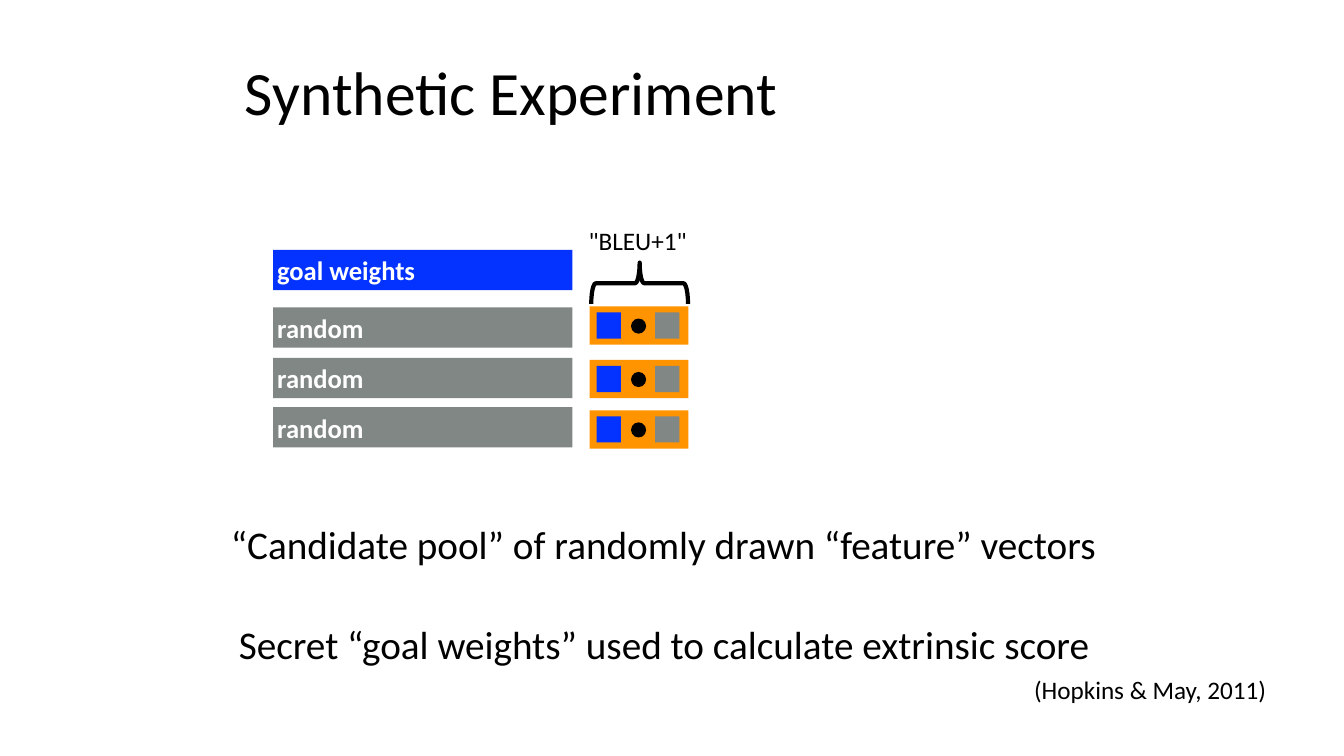
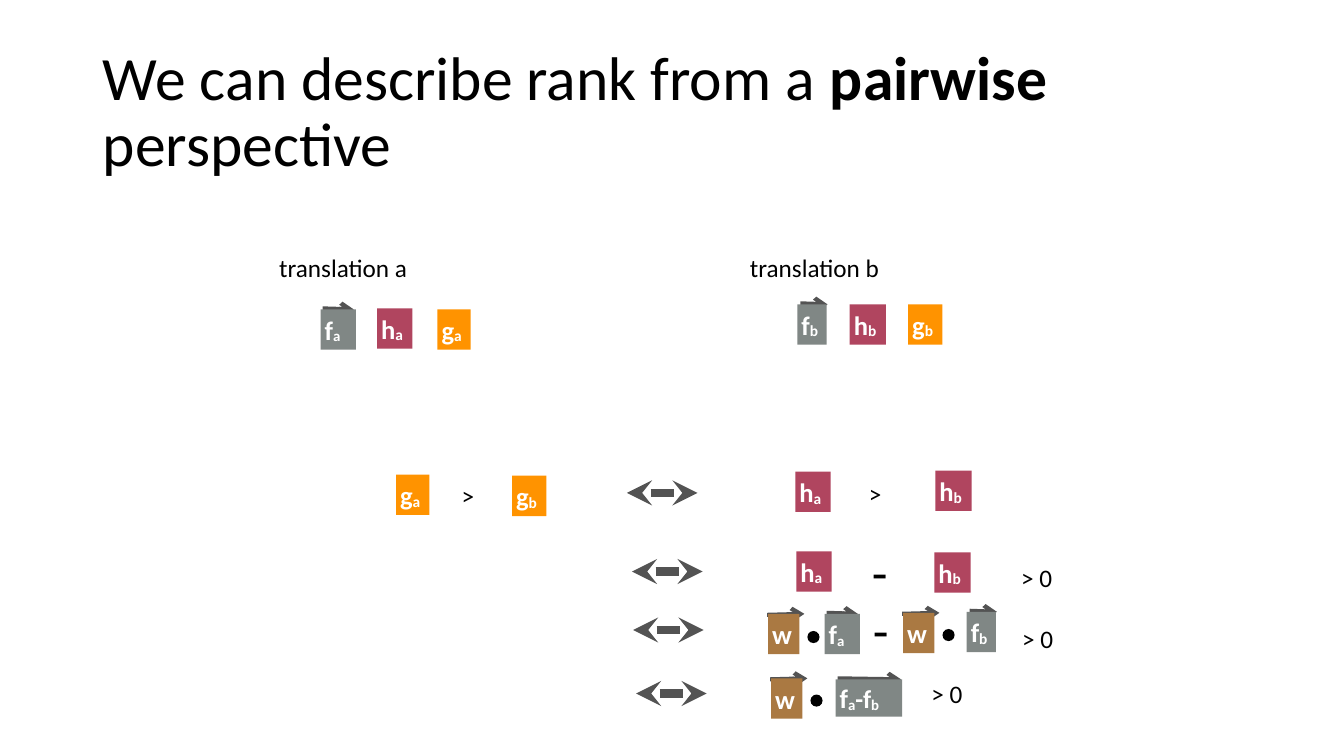
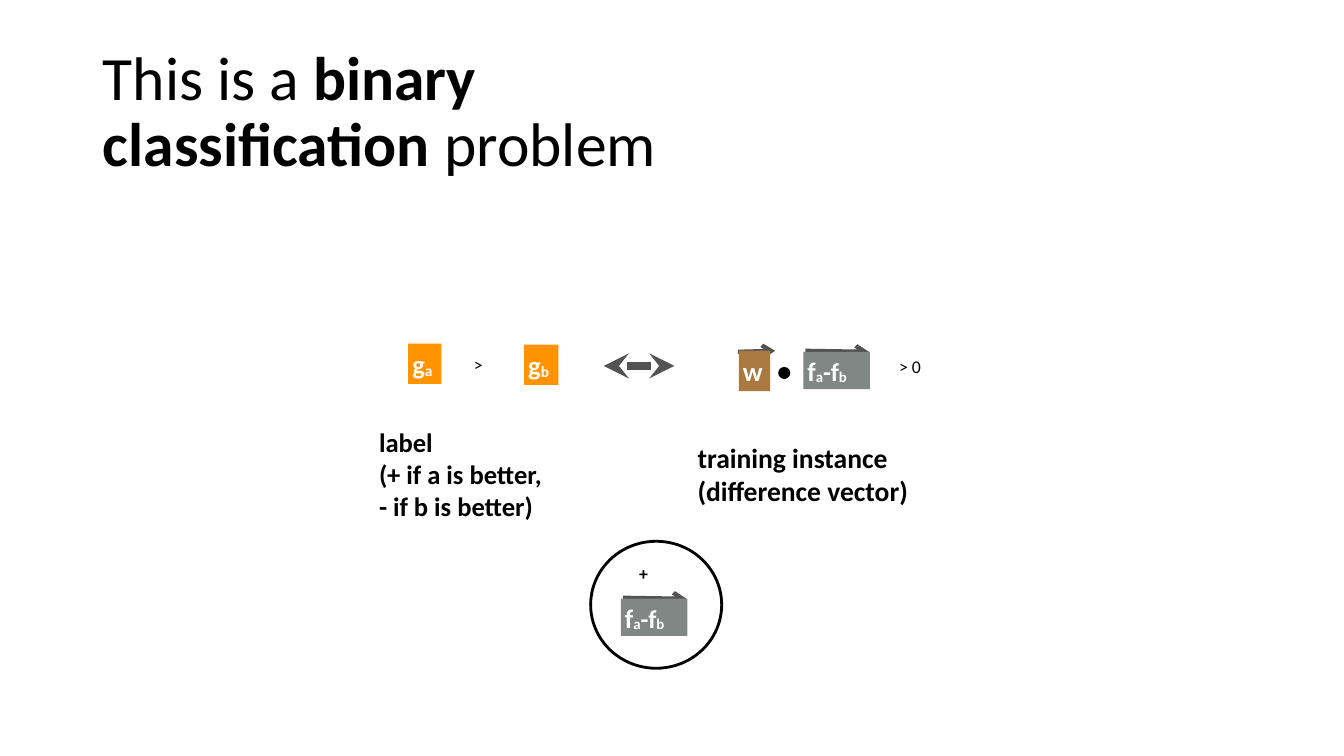
import dataclasses

import pptx
import pptx.dml.color
import pptx.enum.shapes
import pptx.enum.text
import pptx.oxml.ns
import pptx.util
from lxml import etree

SHAPES = pptx.enum.shapes.MSO_SHAPE
AUTO_SIZE = pptx.enum.text.MSO_AUTO_SIZE


@dataclasses.dataclass(frozen=True)
class Theme:
    font: str = "Calibri"
    black: str = "000000"
    white: str = "FFFFFF"
    blue: str = "0433FF"
    orange: str = "FF9300"
    gray: str = "808785"
    red: str = "B0455F"
    brown: str = "AA7942"
    arrow: str = "535353"
    title: float = 44
    statement: float = 28
    minus: float = 36.6
    caption: float = 19.7
    tile: float = 19
    tile_rest: float = 18.3
    label: float = 18
    small: float = 12.7


@dataclasses.dataclass(frozen=True)
class Box:
    """An area of the slide, in cells of the grid."""
    left: float
    top: float
    width: float
    height: float

    def inner(self, left, top, width, height):
        return Box(self.left + left, self.top + top, width, height)

    def lengths(self):
        return [cells(n) for n in (self.left, self.top, self.width, self.height)]


@dataclasses.dataclass(frozen=True)
class Tile:
    """A symbol on a coloured square; every second run is a subscript."""
    color: str
    width: float
    runs: tuple
    vector: tuple = ()  # arrow over the tile: tip, tail, drop of the tail
    height: float = 4
    wrap: bool = False
    rest_size: float = 19


THEME = Theme()
CELL = pptx.util.Inches(7.5) // 75  # the slide is 75 rows high
SLIDE_WIDTH, SLIDE_HEIGHT = 133.33, 75
TIGHT, NORMAL = (0.4, 0.4), (1, 0.5)  # horizontal and vertical insets
TITLE_BOX = Box(9.2, 4, 115, 14.5)

TILES = {
    "fa": Tile(THEME.gray, 3.5, ("f", "a"), (3.3, 0.2, -0.1), wrap=True,
               rest_size=THEME.tile_rest),
    "fb": Tile(THEME.gray, 2.9, ("f", "b"), (3, 0.3, -0.1)),
    "ha": Tile(THEME.red, 3.5, ("h", "a")),
    "hb": Tile(THEME.red, 3.6, ("h", "b")),
    "ga": Tile(THEME.orange, 3.3, ("g", "a")),
    "gb": Tile(THEME.orange, 3.4, ("g", "b")),
    "w": Tile(THEME.brown, 3.1, ("w",), (3.6, -0.1, 0.1)),
    "fa-fb": Tile(THEME.gray, 6.6, ("f", "a", "-f", "b"), (6.5, 0.2, -0.1),
                  height=3.7, wrap=True, rest_size=THEME.tile_rest),
}
# Width of each operator, in cells per point of type
OPERATORS = {">": 0.07, "> 0": 0.19, "-": 0.04, "+": 0.09}

# Formula parts: symbol, distance from the left, shift below the row's axis
GOAL_COMPARISON = [("ga", 0, 0), (">", 6.1, 0), ("gb", 11.5, 0.1)]
DIFFERENCE_TEST = [("equivalent", 0, 0), ("w", 13.4, 0.5), ("dot", 17.3, 0.7),
                   ("fa-fb", 19.8, 0.45), ("> 0", 28.9, 0)]


def cells(number):
    return pptx.util.Emu(round(number * CELL))


def rgb(color):
    return pptx.dml.color.RGBColor.from_string(color)


# Text

def add_run(paragraph, text, size, color=THEME.black, bold=False, subscript=False):
    run = paragraph.add_run()
    run.text = text
    run.font.name = THEME.font
    run.font.size = pptx.util.Pt(size)
    run.font.bold = bold
    run.font.color.rgb = rgb(color)
    if subscript:
        run.font._element.set("baseline", "-6000")


def set_frame(shape, wrap, auto_size, insets):
    frame = shape.text_frame
    frame.word_wrap = wrap
    frame.auto_size = auto_size
    frame.vertical_anchor = pptx.enum.text.MSO_ANCHOR.MIDDLE
    frame.margin_left = frame.margin_right = cells(insets[0])
    frame.margin_top = frame.margin_bottom = cells(insets[1])
    return frame


def add_paragraphs(frame, count):
    for _ in range(count - 1):
        frame.add_paragraph()
    for paragraph in frame.paragraphs:
        paragraph.alignment = pptx.enum.text.PP_ALIGN.LEFT
    return frame.paragraphs


def add_label(slide, box, lines, size, bold=False, insets=TIGHT):
    shape = slide.shapes.add_textbox(*box.lengths())
    frame = set_frame(shape, False, AUTO_SIZE.SHAPE_TO_FIT_TEXT, insets)
    for paragraph, line in zip(add_paragraphs(frame, len(lines)), lines):
        add_run(paragraph, line, size, bold=bold)


def add_title_slide(presentation, lines, box=TITLE_BOX):
    """Add a slide; each title line is a list of (text, bold)."""
    slide = presentation.slides.add_slide(presentation.slide_layouts[5])
    title = slide.shapes.title
    title.left, title.top, title.width, title.height = box.lengths()
    frame = set_frame(title, True, AUTO_SIZE.NONE, NORMAL)
    for paragraph, line in zip(add_paragraphs(frame, len(lines)), lines):
        paragraph.line_spacing = 0.9
        for text, bold in line:
            add_run(paragraph, text, THEME.title, bold=bold)
    return slide


# Shapes and arrows

def add_block(slide, box, color, preset=SHAPES.RECTANGLE):
    shape = slide.shapes.add_shape(preset, *box.lengths())
    shape.shadow.inherit = False
    shape.fill.solid()
    shape.fill.fore_color.rgb = rgb(color)
    shape.line.fill.background()
    return shape


def add_outline(slide, box, preset, weight):
    shape = slide.shapes.add_shape(preset, *box.lengths())
    shape.shadow.inherit = False
    shape.fill.background()
    shape.line.color.rgb = rgb(THEME.black)
    shape.line.width = pptx.util.Pt(weight)
    return shape


def add_arrow(slide, start, end, weight, **ends):
    """Draw a line with heads given as headEnd and tailEnd."""
    points = [cells(n) for n in (*start, *end)]
    line = slide.shapes.add_connector(
        pptx.enum.shapes.MSO_CONNECTOR.STRAIGHT, *points)
    line.line.color.rgb = rgb(THEME.arrow)
    line.line.width = pptx.util.Pt(weight)
    outline = line.line._get_or_add_ln()
    for tag in ("headEnd", "tailEnd"):
        if tag in ends:
            etree.SubElement(outline, pptx.oxml.ns.qn("a:" + tag), type=ends[tag])
    etree.SubElement(line._element.spPr, pptx.oxml.ns.qn("a:effectLst"))


# Symbols and formulas

def add_tile(slide, name, left, axis):
    tile = TILES[name]
    box = Box(left, axis - tile.height / 2, tile.width, tile.height)
    if tile.vector:
        tip, tail, drop = tile.vector
        add_arrow(slide, (left + tip, box.top), (left + tail, box.top + drop), 3,
                  headEnd="arrow")
    shape = add_block(slide, box, tile.color)
    fit = AUTO_SIZE.NONE if name == "fa-fb" else AUTO_SIZE.SHAPE_TO_FIT_TEXT
    paragraph = add_paragraphs(set_frame(shape, tile.wrap, fit, TIGHT), 1)[0]
    for index, text in enumerate(tile.runs):
        size = tile.rest_size if index else THEME.tile
        add_run(paragraph, text, size, THEME.white, True, subscript=index % 2 == 1)


def add_operator(slide, text, left, axis, size, bold=False):
    width, height = 0.8 + OPERATORS[text] * size, 0.8 + size / 6
    add_label(slide, Box(left, axis - height / 2, width, height), [text], size, bold)


def add_formula(slide, left, axis, parts, size=THEME.label):
    """Lay symbols out along a horizontal axis."""
    for name, offset, shift in parts:
        x, y = left + offset, axis + shift
        if name in TILES:
            add_tile(slide, name, x, y)
        elif name == "dot":
            add_block(slide, Box(x, y - 0.6, 1.2, 1.2), THEME.black, SHAPES.OVAL)
        elif name == "equivalent":
            add_arrow(slide, (x, y), (x + 7, y), 6,
                      headEnd="stealth", tailEnd="stealth")
        else:
            add_operator(slide, name, x, y, THEME.minus if name == "-" else size)


# Candidate pool

def add_bar(slide, box, text, color):
    shape = add_block(slide, box, color)
    frame = set_frame(shape, True, AUTO_SIZE.SHAPE_TO_FIT_TEXT, TIGHT)
    add_run(add_paragraphs(frame, 1)[0], text, THEME.tile, THEME.white, True)


def add_score(slide, box):
    """Goal weights times candidate, as two squares and a dot."""
    add_block(slide, box, THEME.orange)
    add_block(slide, box.inner(0.7, 0.6, 2.4, 2.6), THEME.blue)
    add_block(slide, box.inner(4.1, 1.2, 1.5, 1.5), THEME.black, SHAPES.OVAL)
    add_block(slide, box.inner(6.5, 0.6, 2.4, 2.6), THEME.gray)


def add_candidate_pool(slide, box):
    add_bar(slide, box.inner(0, 2.9, 29.7, 4), "goal weights", THEME.blue)
    for bar_top, score_top in ((8.6, 8.5), (13.6, 13.8), (18.5, 18.8)):
        add_bar(slide, box.inner(0, bar_top, 29.7, 4), "random", THEME.gray)
        add_score(slide, box.inner(31.4, score_top, 9.8, 3.8))
    brace = add_outline(slide, box.inner(34.3, 1.4, 4.1, 9.6), SHAPES.LEFT_BRACE, 3)
    brace.rotation = 90
    brace.adjustments[0] = 0.11
    add_label(slide, box.inner(30.3, 0, 11.9, 4), ['"BLEU+1"'], THEME.label,
              insets=NORMAL)


# Pairwise ranking

def add_translation(slide, box, name, parts):
    add_label(slide, box, ["translation " + name], THEME.label)
    add_formula(slide, box.left, box.top + 7.6, parts)


def add_derivation(slide, box):
    """Four equivalent statements, from goal scores to one dot product."""
    add_formula(slide, box.left, box.top + 2.2, GOAL_COMPARISON)
    rows = [
        (22.9, 2, [("equivalent", 0, 0), ("ha", 16.7, -0.1), (">", 23.6, 0),
                   ("hb", 30.6, -0.2)]),
        (23.4, 9.8, [("equivalent", 0, 0), ("ha", 16.3, 0), ("-", 23.4, -0.1),
                     ("hb", 30, 0.1), ("> 0", 38.2, 0.6)]),
        (23.5, 15.6, [("equivalent", 0, 0), ("w", 13.4, 0.4), ("dot", 17.3, 0.7),
                      ("fa", 19, 0.4), ("-", 23.4, -0.1), ("w", 26.8, 0.3),
                      ("dot", 30.7, 0.5), ("fb", 33.1, 0.2), ("> 0", 38.2, 0.8)]),
        (23.8, 21.9, DIFFERENCE_TEST),
    ]
    for left, axis, parts in rows:
        add_formula(slide, box.left + left, box.top + axis, parts)


# Classification

def add_training_example(slide, box):
    add_formula(slide, box.left, box.top + 2, GOAL_COMPARISON, THEME.small)
    add_formula(slide, box.left + 19.4, box.top + 2.2, DIFFERENCE_TEST, THEME.small)
    add_label(slide, box.inner(28.3, 9.2, 26.9, 7.4),
              ["training instance", "(difference vector)"], THEME.caption, True)
    add_label(slide, box.inner(-3.3, 7.7, 22.3, 10.4),
              ["label", "(+ if a is better,", "- if b is better)"], THEME.tile, True)


def add_positive_instance(slide, box):
    add_tile(slide, "fa-fb", box.left + 3, box.top + 7.55)
    add_operator(slide, "+", box.left + 4.4, box.top + 3.15, THEME.small, True)
    add_outline(slide, box, SHAPES.OVAL, 2)


# Slides

def build_experiment_slide(presentation):
    slide = add_title_slide(presentation, [[("Synthetic Experiment", False)]],
                            Box(23.3, 0.1, 94.5, 18.8))
    add_candidate_pool(slide, Box(27.1, 21.9, 42.2, 22.6))
    add_label(slide, Box(22.5, 51.2, 87.6, 5.5),
              ["“Candidate pool” of randomly drawn “feature” vectors"],
              THEME.statement)
    add_label(slide, Box(23.3, 61.1, 86.1, 5.5),
              ["Secret “goal weights” used to calculate extrinsic score"],
              THEME.statement)
    add_label(slide, Box(101.6, 66.4, 25.3, 4), ["(Hopkins & May, 2011)"],
              THEME.label, insets=NORMAL)


def build_pairwise_slide(presentation):
    slide = add_title_slide(presentation, [[
        ("We can describe rank from a ", False), ("pairwise", True),
        (" perspective", False)]])
    add_translation(slide, Box(27.3, 24.6, 13.6, 3.8), "a",
                    [("fa", 4.5, 0.5), ("ha", 10.1, 0.4), ("ga", 16.1, 0.5)])
    add_translation(slide, Box(74, 24.6, 13.7, 3.8), "b",
                    [("fb", 5.1, 0), ("hb", 10.3, 0), ("gb", 16.1, 0)])
    add_derivation(slide, Box(39.3, 46.9, 65.6, 24.4))


def build_classification_slide(presentation):
    slide = add_title_slide(presentation, [
        [("This is a ", False), ("binary", True)],
        [("classification", True), (" problem", False)]])
    add_training_example(slide, Box(40.5, 34.1, 55.2, 18.1))
    add_positive_instance(slide, Box(58.6, 53.7, 13, 12.6))


def main():
    presentation = pptx.Presentation()
    presentation.slide_width = cells(SLIDE_WIDTH)
    presentation.slide_height = cells(SLIDE_HEIGHT)
    build_experiment_slide(presentation)
    build_pairwise_slide(presentation)
    build_classification_slide(presentation)
    presentation.save("out.pptx")


if __name__ == "__main__":
    main()
